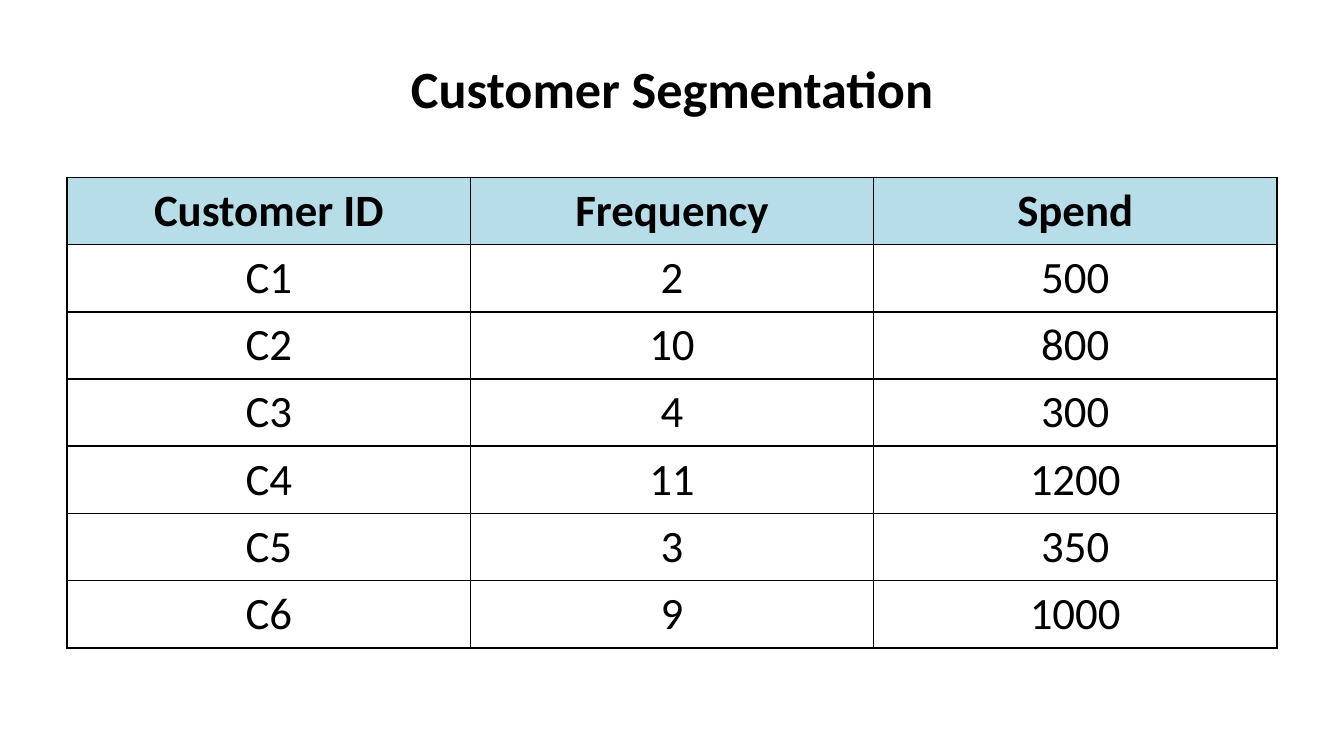
"""Build a slide with a customer segmentation table."""
from lxml.etree import SubElement
from pptx import Presentation
from pptx.dml.color import RGBColor
from pptx.enum.text import MSO_ANCHOR, PP_ALIGN
from pptx.oxml.ns import qn
from pptx.util import Inches, Pt

BLACK = "000000"
HEADER_BLUE = "B7DEE8"
ROWS = [
    ("Customer ID", "Frequency", "Spend"),
    ("C1", "2", "500"),
    ("C2", "10", "800"),
    ("C3", "4", "300"),
    ("C4", "11", "1200"),
    ("C5", "3", "350"),
    ("C6", "9", "1000"),
]


def write(frame, text, size, bold):
    """Set centred black text in a text frame."""
    frame.text = text
    paragraph = frame.paragraphs[0]
    paragraph.alignment = PP_ALIGN.CENTER
    font = paragraph.runs[0].font
    font.name = "Calibri"
    font.size = Pt(size)
    font.bold = bold
    font.color.rgb = RGBColor.from_string(BLACK)


def add_borders(cell):
    """Draw a thin black line on each side of a cell."""
    properties = cell._tc.get_or_add_tcPr()
    for side in ("a:lnL", "a:lnR", "a:lnT", "a:lnB"):
        line = SubElement(properties, qn(side), w=str(Pt(1)))
        fill = SubElement(line, qn("a:solidFill"))
        SubElement(fill, qn("a:srgbClr"), val=BLACK)


deck = Presentation()
deck.slide_width = Inches(10)
deck.slide_height = Inches(10 * 9 / 16)
page = deck.slides.add_slide(deck.slide_layouts[5])

title = page.shapes.title
title.left, title.top = Inches(0), Inches(0.37)
title.width, title.height = Inches(10), Inches(0.57)
title.text_frame.vertical_anchor = MSO_ANCHOR.MIDDLE
write(title.text_frame, "Customer Segmentation", 28, True)

table = page.shapes.add_table(
    len(ROWS), len(ROWS[0]), Inches(0.5), Inches(1.32), Inches(9), Inches(3.5)
).table
table.horz_banding = False

for row_index, values in enumerate(ROWS):
    is_header = row_index == 0
    table.rows[row_index].height = Inches(0.5)
    for column_index, value in enumerate(values):
        cell = table.cell(row_index, column_index)
        cell.vertical_anchor = MSO_ANCHOR.MIDDLE
        cell.margin_top = cell.margin_bottom = Inches(0.04)
        write(cell.text_frame, value, 24, is_header)
        add_borders(cell)
        if is_header:
            cell.fill.solid()
            cell.fill.fore_color.rgb = RGBColor.from_string(HEADER_BLUE)
        else:
            cell.fill.background()

deck.save("out.pptx")
